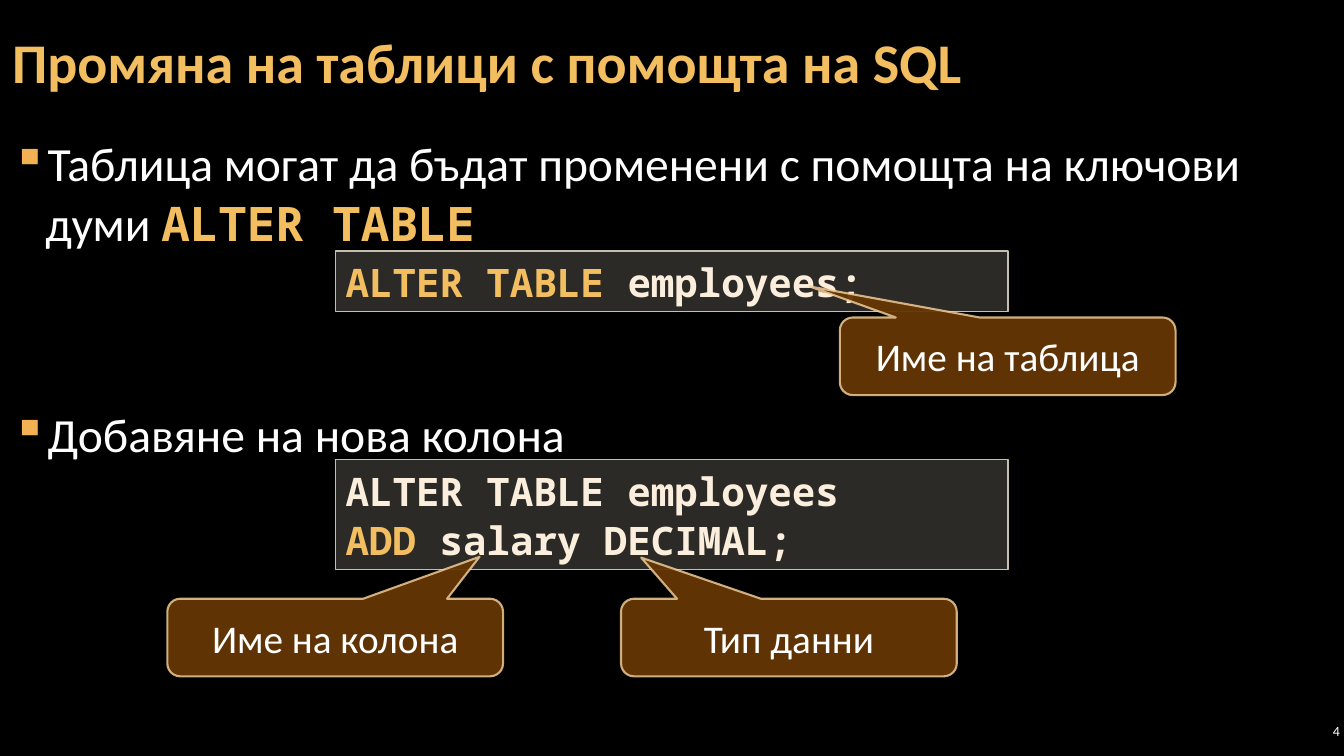
from dataclasses import dataclass

from lxml import etree
from pptx import Presentation
from pptx.dml.color import RGBColor
from pptx.enum.shapes import MSO_SHAPE as Shape
from pptx.enum.text import MSO_ANCHOR as Anchor, PP_ALIGN as Align
from pptx.oxml.ns import qn
from pptx.util import Inches, Pt


@dataclass(frozen=True)
class Theme:
    background: str = "000000"
    text: str = "FFFFFF"
    accent: str = "F3BE60"
    bullet: str = "F2B254"
    code: str = "FBEEDC"
    code_fill: str = "D9D5C7"
    code_line: str = "C7BFAC"
    callout_fill: str = "663606"
    callout_line: str = "F8D49E"
    font: str = "Calibri"
    mono: str = "Noto Sans Mono"
    title_size: int = 40
    body_size: int = 34
    label_size: int = 28
    number_size: int = 10


def set_opacity(color_format, percent):
    """Add an alpha value to a fill's solid colour."""
    color = color_format._xPr.find(qn("a:solidFill"))[0]
    etree.SubElement(color, qn("a:alpha")).set("val", str(percent * 1000))


def write_paragraph(para, spans, font, size, align=Align.LEFT, line_spacing=1.0,
                    before=0, after=0):
    """Fill a paragraph; each span is (text, colour) or (text, colour, font, bold)."""
    para.alignment = align
    para.line_spacing = line_spacing
    para.space_before, para.space_after = Pt(before), Pt(after)
    for text, color, *style in spans:
        span = para.add_run()
        span.text = text
        span.font.size = Pt(size)
        span.font.color.rgb = RGBColor.from_string(color)
        span.font.name, span.font.bold = style or (font, False)


class SlideBuilder:
    def __init__(self, deck, theme):
        self.theme = theme
        self.slide = deck.slides.add_slide(deck.slide_layouts[6])
        fill = self.slide.background.fill
        fill.solid()
        fill.fore_color.rgb = RGBColor.from_string(theme.background)

    def set_frame(self, frame, anchor, side=0.1, edge=0.05):
        frame.word_wrap = True
        frame.vertical_anchor = anchor
        frame.margin_left = frame.margin_right = Inches(side)
        frame.margin_top = frame.margin_bottom = Inches(edge)
        return frame

    def text_box(self, place, anchor=Anchor.TOP, side=0.12):
        box = self.slide.shapes.add_textbox(*map(Inches, place))
        return self.set_frame(box.text_frame, anchor, side, 0.04)

    def title(self, text):
        frame = self.text_box((0, 0.04, 10.47, 1.22), Anchor.MIDDLE)
        style = self.theme
        write_paragraph(frame.paragraphs[0], [(text, style.accent, style.font, True)],
                        style.font, style.title_size, line_spacing=0.9)

    def bullets(self, items):
        """Write items given as (space before, spans)."""
        frame = self.text_box((0, 1.26, 12.91, 6.09))
        for index, (before, spans) in enumerate(items):
            para = frame.add_paragraph() if index else frame.paragraphs[0]
            write_paragraph(para, spans, self.theme.font, self.theme.body_size,
                            line_spacing=1.05, before=before, after=6)
            properties = para._p.get_or_add_pPr()
            properties.set("marL", str(Inches(0.33)))
            properties.set("indent", str(-Inches(0.33)))
            color = etree.SubElement(properties, qn("a:buClr"))
            etree.SubElement(color, qn("a:srgbClr")).set("val", self.theme.bullet)
            etree.SubElement(properties, qn("a:buChar")).set("char", "▪")

    def page_number(self, number):
        frame = self.text_box((12.86, 7.14, 0.47, 0.22), Anchor.MIDDLE, 0.04)
        write_paragraph(frame.paragraphs[0], [(number, self.theme.text)],
                        self.theme.font, self.theme.number_size, Align.RIGHT)

    def shape(self, kind, place, fill, opacity, line, width):
        box = self.slide.shapes.add_shape(kind, *map(Inches, place))
        box.shadow.inherit = False
        box.fill.solid()
        box.fill.fore_color.rgb = RGBColor.from_string(fill)
        set_opacity(box.fill, opacity)
        box.line.color.rgb = RGBColor.from_string(line)
        box.line.width = Pt(width)
        return box

    def code(self, top, height, lines):
        style = self.theme
        box = self.shape(Shape.RECTANGLE, (3.33, top, 6.67, height),
                         style.code_fill, 20, style.code_line, 1)
        frame = self.set_frame(box.text_frame, Anchor.TOP)
        for index, spans in enumerate(lines):
            para = frame.add_paragraph() if index else frame.paragraphs[0]
            bold_spans = [(*span, style.mono, True) for span in spans]
            write_paragraph(para, bold_spans, style.mono, style.label_size,
                            line_spacing=1.05)

    def callout(self, text, left, top, tip):
        """Draw a label whose tip is an offset from its centre, in widths and heights."""
        style = self.theme
        box = self.shape(Shape.ROUNDED_RECTANGULAR_CALLOUT, (left, top, 3.33, 0.77),
                         style.callout_fill, 95, style.callout_line, 1.5)
        set_opacity(box.line.fill, 80)
        box.adjustments[0], box.adjustments[1] = tip
        frame = self.set_frame(box.text_frame, Anchor.MIDDLE)
        write_paragraph(frame.paragraphs[0], [(text, style.text)],
                        style.font, style.label_size, Align.CENTER)


def main():
    deck = Presentation()
    deck.slide_width, deck.slide_height = Inches(13.33), Inches(7.5)
    theme = Theme()
    page = SlideBuilder(deck, theme)

    page.title("Промяна на таблици с помощта на SQL")
    page.bullets([
        (6, [("Таблица могат да бъдат променени с помощта на ключови думи ", theme.text),
             ("ALTER TABLE", theme.accent, theme.mono, True)]),
        (102, [("Добавяне на нова колона", theme.text)]),
    ])
    page.page_number("4")
    page.code(4.56, 1.09, [
        [("ALTER TABLE employees", theme.code)],
        [("ADD ", theme.accent), ("salary DECIMAL;", theme.code)],
    ])
    page.code(2.49, 0.6, [[("ALTER TABLE ", theme.accent), ("employees;", theme.code)]])
    page.callout("Име на таблица", 8.33, 3.15, (-0.59, -0.9))
    page.callout("Име на колона", 1.66, 5.94, (0.43, -1.04))
    page.callout("Тип данни", 6.16, 5.94, (-0.44, -1.03))

    deck.save("out.pptx")


if __name__ == "__main__":
    main()
